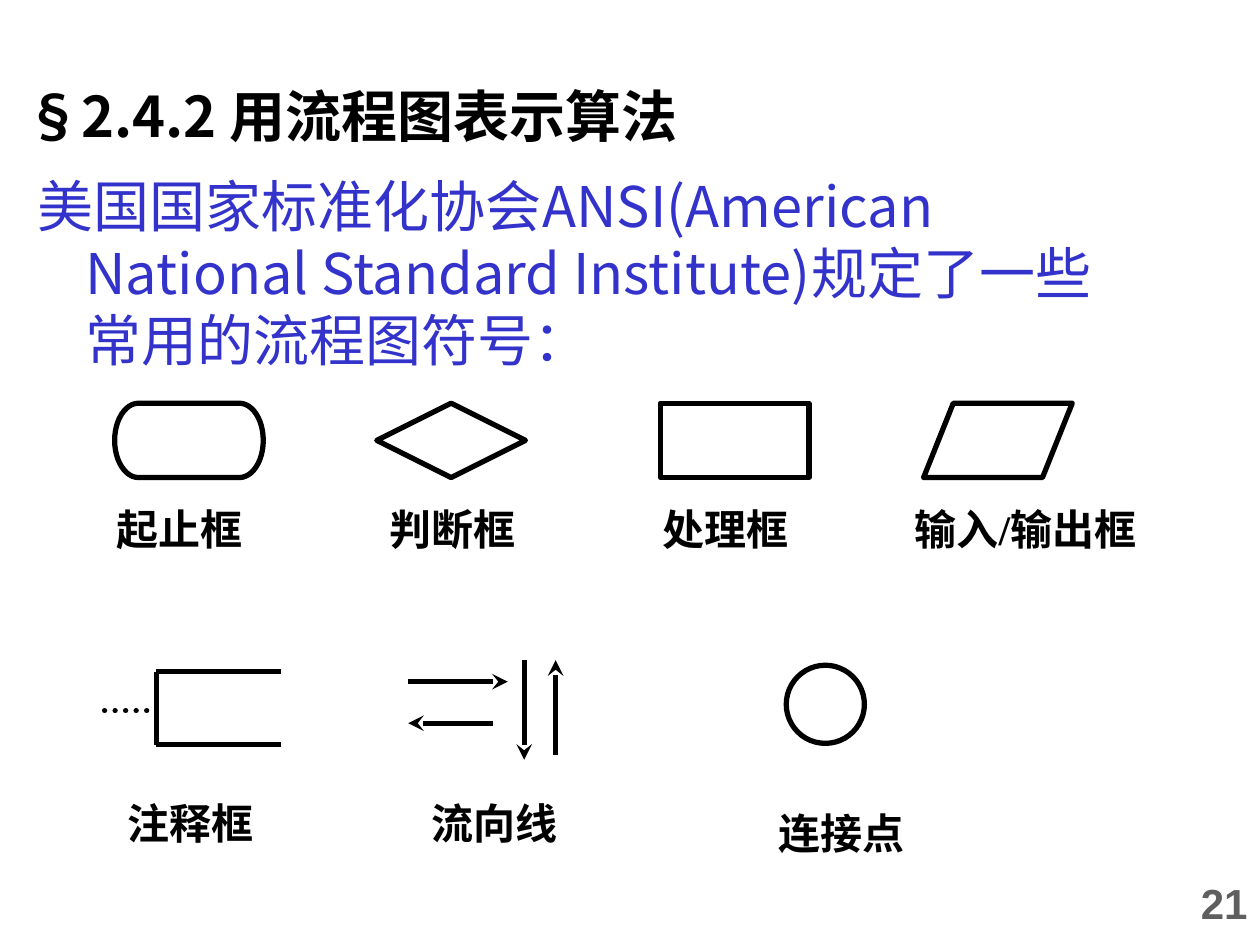
import pptx
import pptx.dml.color
import pptx.enum.dml
import pptx.enum.shapes
import pptx.enum.text
import pptx.oxml.ns
import pptx.util
from lxml import etree

Inches = pptx.util.Inches
Pt = pptx.util.Pt
Shape = pptx.enum.shapes.MSO_SHAPE
Align = pptx.enum.text.PP_ALIGN
Anchor = pptx.enum.text.MSO_ANCHOR
qn = pptx.oxml.ns.qn

BLACK = pptx.dml.color.RGBColor(0x00, 0x00, 0x00)
BLUE = pptx.dml.color.RGBColor(0x33, 0x33, 0xCC)
GRAY = pptx.dml.color.RGBColor(0x5F, 0x5F, 0x5F)

CJK_FONT = "Noto Sans CJK SC"
LABEL_FONT = "Times New Roman"


class FlowchartPage:
    """Holds the drawing style and the slide being filled."""

    line_width = Pt(3)

    def __init__(self, deck):
        self.page = deck.slides.add_slide(deck.slide_layouts[5])
        self.shapes = self.page.shapes

    def set_text(self, box, text, size, font, color, bold, align=Align.LEFT):
        paragraph = box.text_frame.paragraphs[0]
        paragraph.text = text
        paragraph.alignment = align
        paragraph.font.size = Pt(size)
        paragraph.font.bold = bold
        paragraph.font.color.rgb = color
        paragraph.font.name = font
        properties = paragraph._p.pPr.find(qn("a:defRPr"))
        etree.SubElement(properties, qn("a:ea")).set("typeface", CJK_FONT)
        return paragraph

    def title(self, text, left, top, width, height):
        box = self.shapes.title
        box.left, box.top = Inches(left), Inches(top)
        box.width, box.height = Inches(width), Inches(height)
        box.text_frame.vertical_anchor = Anchor.TOP
        box.text_frame.margin_left = Inches(0.2)
        self.set_text(box, text, 32, CJK_FONT, BLACK, True)

    def text_box(self, left, top, width, height, wrap=True):
        box = self.shapes.add_textbox(
            Inches(left), Inches(top), Inches(width), Inches(height))
        box.text_frame.word_wrap = wrap
        return box

    def body(self, text, left, top, width, height):
        box = self.text_box(left, top, width, height)
        paragraph = self.set_text(box, text, 32, CJK_FONT, BLUE, False)
        hanging = Inches(0.38)
        paragraph._p.pPr.set("marL", str(hanging))
        paragraph._p.pPr.set("indent", str(-hanging))

    def label(self, text, left, top, width, height=0.5):
        box = self.text_box(left, top, width, height)
        self.set_text(box, text, 24, LABEL_FONT, BLACK, True)

    def page_number(self, text, left, top, width, height):
        box = self.text_box(left, top, width, height, wrap=False)
        box.text_frame.vertical_anchor = Anchor.MIDDLE
        self.set_text(box, text, 24, "Arial", GRAY, True, Align.RIGHT)

    def symbol(self, kind, left, top, width, height):
        shape = self.shapes.add_shape(
            kind, Inches(left), Inches(top), Inches(width), Inches(height))
        shape.shadow.inherit = False
        shape.fill.background()
        shape.line.color.rgb = BLACK
        shape.line.width = self.line_width

    def line(self, x1, y1, x2, y2, dotted=False, arrow=False):
        connector = self.shapes.add_connector(
            pptx.enum.shapes.MSO_CONNECTOR.STRAIGHT,
            Inches(x1), Inches(y1), Inches(x2), Inches(y2))
        connector.line.color.rgb = BLACK
        connector.line.width = self.line_width
        outline = connector.line._get_or_add_ln()
        if dotted:
            connector.line.dash_style = pptx.enum.dml.MSO_LINE.ROUND_DOT
            outline.set("cap", "rnd")
        if arrow:
            etree.SubElement(outline, qn("a:tailEnd")).set("type", "stealth")
        etree.SubElement(connector._element.spPr, qn("a:effectLst"))


def main():
    deck = pptx.Presentation()
    deck.slide_width, deck.slide_height = Inches(10), Inches(7.5)
    chart = FlowchartPage(deck)

    chart.page_number("21", 4.35, 6.83, 5.65, 0.67)
    chart.title("§2.4.2 用流程图表示算法", 0, 0.6, 8.15, 0.71)
    chart.body("美国国家标准化协会ANSI(American National Standard Institute)"
               "规定了一些常用的流程图符号：", 0.2, 1.31, 8.74, 4.65)

    for kind, left in (
        (Shape.FLOWCHART_TERMINATOR, 0.91),
        (Shape.FLOWCHART_DECISION, 2.99),
        (Shape.FLOWCHART_PROCESS, 5.24),
        (Shape.FLOWCHART_DATA, 7.33),
    ):
        chart.symbol(kind, left, 3.2, 1.18, 0.59)
    chart.symbol(Shape.FLOWCHART_CONNECTOR, 6.24, 5.28, 0.62, 0.62)

    # Annotation symbol: open bracket with a dotted lead
    left, right, top, bottom = 1.24, 2.23, 5.33, 5.91
    chart.line(left, top, right, top)
    chart.line(left, bottom, right, bottom)
    chart.line(left, top, left, bottom)
    chart.line(0.83, 5.64, 1.22, 5.64, dotted=True)

    for ends in (
        (3.24, 5.41, 4.03, 5.41),
        (4.16, 5.24, 4.16, 6.03),
        (3.91, 5.74, 3.24, 5.74),
        (4.41, 5.99, 4.41, 5.24),
    ):
        chart.line(*ends, arrow=True)

    for text, left, top, width in (
        ("起止框", 0.83, 3.95, 1.42),
        ("判断框", 2.99, 3.95, 1.58),
        ("处理框", 5.16, 3.95, 1.33),
        ("注释框", 0.91, 6.28, 1.42),
        ("流向线", 3.33, 6.28, 1.5),
        ("连接点", 6.08, 6.36, 1.92),
    ):
        chart.label(text, left, top, width)
    chart.label("输入/输出框", 7.16, 3.95, 2.08, 0.9)

    deck.save("out.pptx")


if __name__ == "__main__":
    main()
